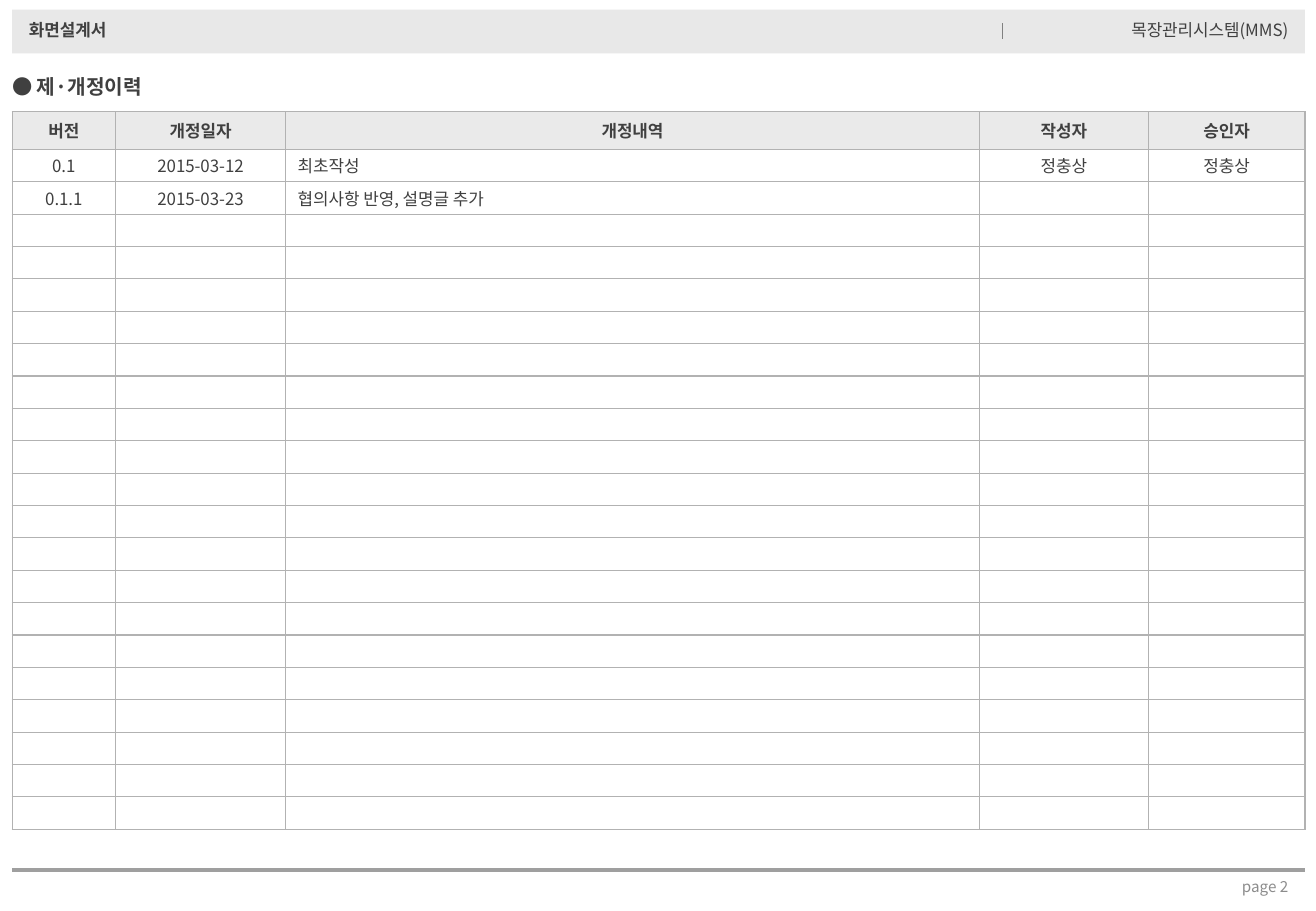
from dataclasses import dataclass

from lxml import etree
from pptx import Presentation
from pptx.dml.color import RGBColor
from pptx.enum.shapes import MSO_CONNECTOR, MSO_SHAPE
from pptx.enum.text import MSO_ANCHOR, PP_ALIGN
from pptx.oxml.ns import qn
from pptx.util import Inches, Pt

LEFT, CENTER, RIGHT = PP_ALIGN.LEFT, PP_ALIGN.CENTER, PP_ALIGN.RIGHT
TOP, MIDDLE = MSO_ANCHOR.TOP, MSO_ANCHOR.MIDDLE
RECTANGLE, STRAIGHT = MSO_SHAPE.RECTANGLE, MSO_CONNECTOR.STRAIGHT


@dataclass(frozen=True)
class Theme:
    font: str = "Noto Sans CJK KR"
    ink: str = "404040"
    footer_ink: str = "8C8C8C"
    band: str = "D9D9D9"
    header_fill: str = "EAEAEA"
    border: str = "B2B2B2"
    divider: str = "808080"
    footer_rule: str = "9F9F9F"
    title_size: int = 12
    body_size: int = 10
    footer_size: int = 9


THEME = Theme()

# The page grid has square cells of a tenth of an inch
PAGE_COLS, PAGE_ROWS = 108.3, 75
MARGIN, CONTENT_COLS = 1, 106.4
TABLE_TOP, TABLE_ROWS = 9.2, 59.1
HEADER_ROWS, BLANK_RECORDS = 3.1, 19

COLUMNS = [("버전", 8.5, CENTER), ("개정일자", 14, CENTER), ("개정내역", 57.1, LEFT),
           ("작성자", 13.9, CENTER), ("승인자", 12.9, CENTER)]
RECORDS = [("0.1", "2015-03-12", "최초작성", "정충상", "정충상"),
           ("0.1.1", "2015-03-23", "협의사항 반영, 설명글 추가", "", "")]


def grid(cells):
    return Inches(cells / 10)


def add_child(parent, tag, **attributes):
    return etree.SubElement(parent, qn(tag), **attributes)


def write(frame, text, size, color=THEME.ink, bold=False, align=LEFT):
    para = frame.paragraphs[0]
    para.alignment = align
    if not text:
        # Keeps an empty cell from growing to the default type size
        add_child(para._p, "a:endParaRPr", sz=str(size * 100))
        return para
    span = para.add_run()
    span.text = text
    font = span.font
    font.name, font.size, font.bold = THEME.font, Pt(size), bold
    font.color.rgb = RGBColor.from_string(color)
    add_child(span._r.get_or_add_rPr(), "a:ea", typeface=THEME.font)
    return para


def add_text(page, area, text, size, anchor=TOP, inset=None, **style):
    box = page.shapes.add_textbox(*map(grid, area))
    frame = box.text_frame
    frame.word_wrap = True
    frame.vertical_anchor = anchor
    if inset is not None:
        frame.margin_left = frame.margin_right = grid(inset)
        frame.margin_top = frame.margin_bottom = grid(inset)
    write(frame, text, size, **style)


def add_band(page, area, color, opacity):
    band = page.shapes.add_shape(RECTANGLE, *map(grid, area))
    band.shadow.inherit = False
    band.line.fill.background()
    band.fill.solid()
    band.fill.fore_color.rgb = RGBColor.from_string(color)
    tint = band._element.spPr.find(".//" + qn("a:srgbClr"))
    add_child(tint, "a:alpha", val=str(opacity * 1000))


def add_rule(page, start, end, color, width):
    rule = page.shapes.add_connector(STRAIGHT, *map(grid, start + end))
    rule.line.color.rgb = RGBColor.from_string(color)
    rule.line.width = Pt(width)
    add_child(rule._element.spPr, "a:effectLst")


def add_borders(cell, color, width):
    properties = cell._tc.get_or_add_tcPr()
    for index, side in enumerate(("a:lnL", "a:lnR", "a:lnT", "a:lnB")):
        line = etree.Element(qn(side), w=str(Pt(width)))
        add_child(add_child(line, "a:solidFill"), "a:srgbClr", val=color)
        properties.insert(index, line)


def fill_cell(cell, text, align, header):
    cell.vertical_anchor = MIDDLE
    cell.margin_top = cell.margin_bottom = 0
    if header:
        cell.fill.solid()
        cell.fill.fore_color.rgb = RGBColor.from_string(THEME.header_fill)
    else:
        cell.fill.background()
    para = write(cell.text_frame, text, THEME.body_size, bold=header, align=align)
    para.space_before = Pt(THEME.body_size * 0.2)
    add_borders(cell, THEME.border, 0.75)


def add_history_table(page):
    titles = tuple(title for title, _, _ in COLUMNS)
    blank = ("",) * len(COLUMNS)
    content = [titles] + RECORDS + [blank] * BLANK_RECORDS
    area = (MARGIN, TABLE_TOP, CONTENT_COLS, TABLE_ROWS)
    table = page.shapes.add_table(len(content), len(COLUMNS), *map(grid, area)).table
    table.horz_banding = False
    for column, (_, width, _) in zip(table.columns, COLUMNS):
        column.width = grid(width)
    record_rows = (TABLE_ROWS - HEADER_ROWS) / (len(content) - 1)
    for index, texts in enumerate(content):
        header = index == 0
        table.rows[index].height = grid(HEADER_ROWS if header else record_rows)
        for position, (text, (_, _, align)) in enumerate(zip(texts, COLUMNS)):
            fill_cell(table.cell(index, position), text,
                      CENTER if header else align, header)


def main():
    deck = Presentation()
    deck.slide_width, deck.slide_height = grid(PAGE_COLS), grid(PAGE_ROWS)
    page = deck.slides.add_slide(deck.slide_layouts[6])
    right = MARGIN + CONTENT_COLS

    # Page header
    add_band(page, (MARGIN, 0.8, CONTENT_COLS, 3.6), THEME.band, 60)
    add_text(page, (1.4, 1.1, 24, 2.7), "화면설계서", THEME.body_size, bold=True)
    add_rule(page, (82.5, 3.2), (82.5, 1.9), THEME.divider, 0.25)
    add_text(page, (83, 1.1, 24, 2.7), "목장관리시스템(MMS)", THEME.body_size, align=RIGHT)

    # Section title and revision history
    add_text(page, (MARGIN, 5.2, 20.3, 3.8), "● 제·개정이력", THEME.title_size,
             anchor=MIDDLE, inset=0, bold=True)
    add_history_table(page)

    # Page footer
    add_rule(page, (MARGIN, 71.6), (right, 71.6), THEME.footer_rule, 2.25)
    add_text(page, (58.4, 71.7, 48.6, 2.6), "page 2", THEME.footer_size,
             color=THEME.footer_ink, align=RIGHT)

    deck.save("out.pptx")


main()
